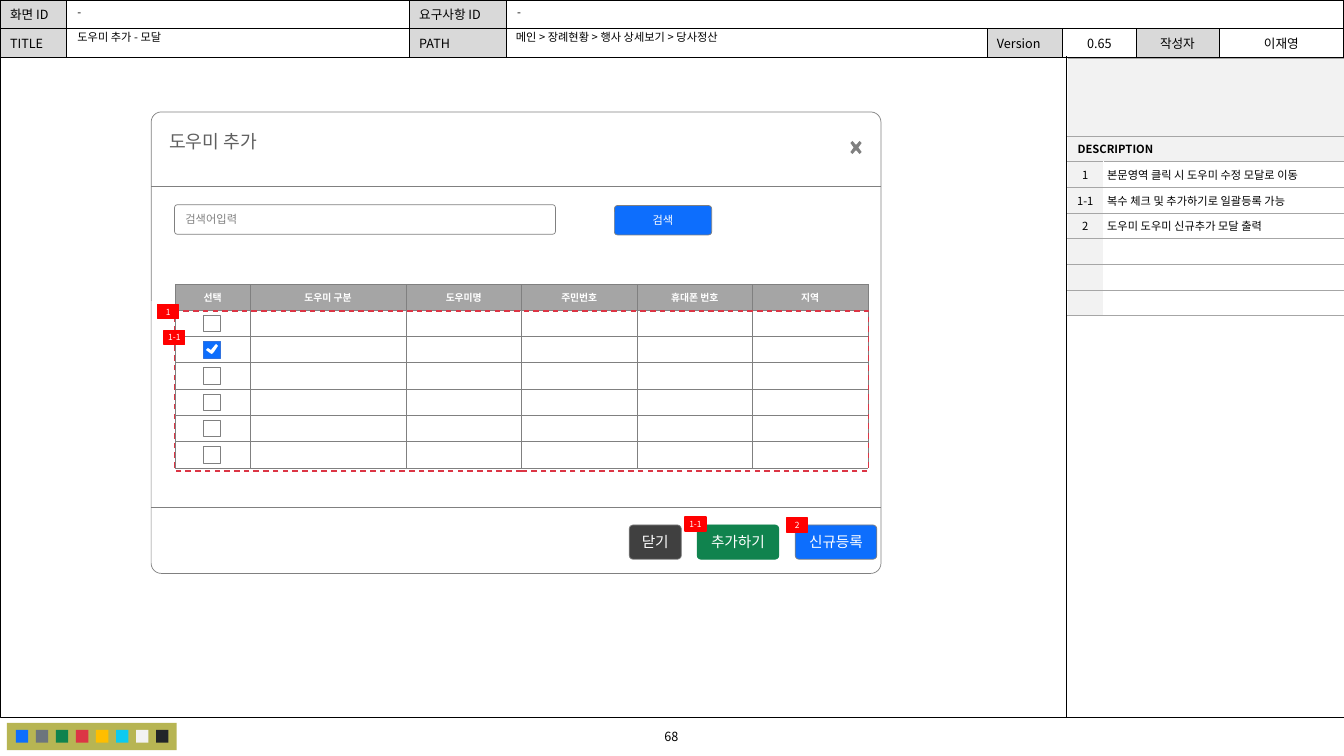
"""Build the wireframe slide of the helper selection modal."""
from lxml import etree
from pptx import Presentation
from pptx.dml.color import RGBColor
from pptx.enum.dml import MSO_LINE
from pptx.enum.shapes import MSO_CONNECTOR, MSO_SHAPE
from pptx.enum.text import MSO_ANCHOR, PP_ALIGN
from pptx.oxml.ns import qn
from pptx.util import Pt

LEFT, CENTER = PP_ALIGN.LEFT, PP_ALIGN.CENTER
TOP, MIDDLE = MSO_ANCHOR.TOP, MSO_ANCHOR.MIDDLE
RECT, ROUND = MSO_SHAPE.RECTANGLE, MSO_SHAPE.ROUNDED_RECTANGLE
STRAIGHT, DASH = MSO_CONNECTOR.STRAIGHT, MSO_LINE.DASH
NOTO, LATO = "Noto Sans CJK KR", "Lato"

BLACK = RGBColor(0x00, 0x00, 0x00)
WHITE = RGBColor(0xFF, 0xFF, 0xFF)
GRAY = RGBColor(0x80, 0x80, 0x80)
LABEL_GRAY = RGBColor(0xD9, 0xD9, 0xD9)
PALE_GRAY = RGBColor(0xF2, 0xF2, 0xF2)
EDGE_GRAY = RGBColor(0xA6, 0xA6, 0xA6)
HEAD_GRAY = RGBColor(0xA5, 0xA5, 0xA5)
TITLE_GRAY = RGBColor(0x5F, 0x5F, 0x5F)
CHARCOAL = RGBColor(0x40, 0x40, 0x40)
BLUE = RGBColor(0x0D, 0x6E, 0xFD)
CHECK_EDGE = RGBColor(0x32, 0x72, 0xDD)
GREEN = RGBColor(0x10, 0x83, 0x4E)
CRIMSON = RGBColor(0xDC, 0x35, 0x45)
RED = RGBColor(0xFF, 0x00, 0x00)
OLIVE = RGBColor(0xB7, 0xB5, 0x53)
SLATE = RGBColor(0x6C, 0x75, 0x7D)
AMBER = RGBColor(0xFF, 0xBE, 0x00)
CYAN = RGBColor(0x0D, 0xCA, 0xF0)
INK = RGBColor(0x21, 0x25, 0x29)


def write(frame, text, size, color=BLACK, align=LEFT, font=NOTO, bold=False):
    frame.text = text
    para = frame.paragraphs[0]
    para.alignment = align
    for span in para.runs:
        span.font.size = Pt(size)
        span.font.name = font
        span.font.bold = bold
        span.font.color.rgb = color
        etree.SubElement(span.font._element, qn("a:ea"), typeface=font)
    if not text:
        etree.SubElement(para._p, qn("a:endParaRPr"), sz=str(size * 100))


def add_box(kind, left, top, width, height, fill=None, edge=None, edge_width=0.5, corner=0.11):
    box = page.shapes.add_shape(kind, Pt(left), Pt(top), Pt(width), Pt(height))
    box.shadow.inherit = False
    if kind == ROUND:
        box.adjustments[0] = corner
    if fill is None:
        box.fill.background()
    else:
        box.fill.solid()
        box.fill.fore_color.rgb = fill
    if edge is None:
        box.line.fill.background()
    else:
        box.line.color.rgb = edge
        box.line.width = Pt(edge_width)
    frame = box.text_frame
    frame.vertical_anchor = MIDDLE
    frame.margin_left = frame.margin_right = frame.margin_top = frame.margin_bottom = 0
    return box


deck = Presentation()
deck.slide_width, deck.slide_height = Pt(960), Pt(540)
page = deck.slides.add_slide(deck.slide_layouts[6])

add_box(RECT, 0, 39.6, 960, 472.4, None, BLACK, 0.25)
panel = add_box(ROUND, 108, 80, 521.3, 329.6, WHITE, GRAY, 0.5, 0.022)
panel.text_frame.vertical_anchor = TOP
panel.text_frame.margin_left = panel.text_frame.margin_top = Pt(10.8)
write(panel.text_frame, "도우미 추가", 13, TITLE_GRAY, LEFT, LATO)

tables = []
for left, top, widths, heights, edge, edge_width, sides in [
    (0, 0, [47.25, 245, 69.25, 343.5, 54.25, 52.25, 59.25, 89.25], [20.25] * 2, BLACK, 0.5, "LRTB"),
    (762.5, 41.5, [25.5, 172], [55.7] + [18.36] * 7, EDGE_GRAY, 0.5, "RTB"),
    (125.3, 203, [53.25, 111.5] + [82.5] * 4, [18.3] + [18.85] * 6, GRAY, 0.25, "LRTB"),
]:
    table = page.shapes.add_table(len(heights), len(widths), Pt(left), Pt(top),
                                  Pt(sum(widths)), Pt(sum(heights))).table
    table.first_row = table.horz_banding = False
    for column, width in zip(table.columns, widths):
        column.width = Pt(width)
    for row, height in zip(table.rows, heights):
        row.height = Pt(height)
    for cell in table.iter_cells():
        write(cell.text_frame, "", 6)
        cell.fill.solid()
        cell.fill.fore_color.rgb = WHITE
        for index, side in enumerate(sides):
            border = etree.Element(qn("a:ln" + side), w=str(Pt(edge_width)))
            paint = etree.SubElement(border, qn("a:solidFill"))
            etree.SubElement(paint, qn("a:srgbClr"), val=str(edge))
            cell._tc.tcPr.insert(index, border)
    tables.append(table)
header, description, helpers = tables

header.cell(0, 3).merge(header.cell(0, 7))
for row, column, text, fill, align in [
    (0, 0, "화면 ID", LABEL_GRAY, LEFT), (0, 2, "요구사항 ID", LABEL_GRAY, LEFT),
    (1, 0, "TITLE", LABEL_GRAY, LEFT), (1, 2, "PATH", LABEL_GRAY, LEFT),
    (1, 4, "Version", LABEL_GRAY, LEFT), (1, 5, "0.65", WHITE, CENTER),
    (1, 6, "작성자", LABEL_GRAY, CENTER), (1, 7, "이재영", WHITE, CENTER),
]:
    cell = header.cell(row, column)
    cell.fill.fore_color.rgb = fill
    write(cell.text_frame, text, 9, BLACK, align)

for row in range(2):
    description.cell(row, 0).merge(description.cell(row, 1))
for row in range(8):
    description.cell(row, 0).fill.fore_color.rgb = PALE_GRAY
heading = description.cell(1, 0)
heading.vertical_anchor = MIDDLE
heading.margin_top = heading.margin_bottom = Pt(2)
write(heading.text_frame, "DESCRIPTION", 8, BLACK, LEFT, NOTO, True)
for row, (number, note) in enumerate([
    ("1", "본문영역 클릭 시 도우미 수정 모달로 이동"),
    ("1-1", "복수 체크 및 추가하기로 일괄등록 가능"),
    ("2", "도우미 도우미 신규추가 모달 출력"),
], 2):
    for column, text, align, margin in [(0, number, CENTER, 0), (1, note, LEFT, 2.9)]:
        cell = description.cell(row, column)
        cell.vertical_anchor = MIDDLE
        cell.margin_left = cell.margin_right = Pt(margin)
        cell.margin_top = cell.margin_bottom = Pt(margin / 2)
        write(cell.text_frame, text, 8, BLACK, align)

for column, text in enumerate(["선택", "도우미 구분", "도우미명", "주민번호", "휴대폰 번호", "지역"]):
    cell = helpers.cell(0, column)
    cell.fill.fore_color.rgb = HEAD_GRAY
    cell.vertical_anchor = MIDDLE
    cell.margin_top = cell.margin_bottom = Pt(2)
    write(cell.text_frame, text, 7, WHITE, CENTER, NOTO, True)

for left, top, width, height, text, size, align in [
    (48.2, 0.7, 244.8, 16.6, "-", 8, LEFT),
    (362.2, 0.7, 596.9, 16.6, "-", 8, LEFT),
    (48.2, 20.2, 243.4, 14.4, "도우미 추가 - 모달", 8, LEFT),
    (361.4, 18.7, 341.3, 16.6, "메인 > 장례현황 > 행사 상세보기 > 당사정산", 8, LEFT),
    (386.6, 517.7, 185.8, 18, "68", 9, CENTER),
]:
    frame = page.shapes.add_textbox(Pt(left), Pt(top), Pt(width), Pt(height)).text_frame
    frame.word_wrap = True
    frame.vertical_anchor = MIDDLE
    frame.margin_top = frame.margin_bottom = 0
    write(frame, text, size, BLACK, align)
    frame.paragraphs[0].line_spacing = 0.9

for x1, y1, x2, y2, color in [
    (761.8, 40.3, 761.8, 512, BLACK),
    (108, 133.2, 629.3, 133.2, GRAY),
    (108, 362.2, 629.3, 362.2, GRAY),
]:
    rule = page.shapes.add_connector(STRAIGHT, Pt(x1), Pt(y1), Pt(x2), Pt(y2))
    rule.line.color.rgb = color
    rule.line.width = Pt(0.5)
    etree.SubElement(rule._element.spPr, qn("a:effectLst"))

add_box(RECT, 5, 516.4, 121.2, 19.4, OLIVE)
for index, color in enumerate([BLUE, SLATE, GREEN, CRIMSON, AMBER, CYAN, PALE_GRAY, INK]):
    add_box(RECT, 11.4 + 14.3 * index, 521.3, 8.8, 9.2, color)

for left, top, width, height, fill, edge, text, size, color, align in [
    (124.6, 146.2, 272.2, 21.2, WHITE, GRAY, "검색어입력", 8, GRAY, LEFT),
    (438.9, 146.8, 69.5, 21, BLUE, GRAY, "검색", 8, WHITE, CENTER),
    (449.5, 375, 37.2, 24.5, CHARCOAL, GRAY, "닫기", 10.5, WHITE, CENTER),
    (498, 375, 58.3, 24.5, GREEN, GREEN, "추가하기", 10.5, WHITE, CENTER),
    (568, 375, 58.3, 24.5, BLUE, GRAY, "신규등록", 10.5, WHITE, CENTER),
]:
    control = add_box(ROUND, left, top, width, height, fill, edge)
    control.text_frame.margin_left = control.text_frame.margin_right = Pt(7.2)
    control.text_frame.word_wrap = size == 8
    write(control.text_frame, text, size, color, align, LATO)

add_box(RECT, 124.8, 222.2, 495.4, 114.2, None, CRIMSON, 1).line.dash_style = DASH
for index in range(6):
    fill, edge = (BLUE, CHECK_EDGE) if index == 1 else (WHITE, GRAY)
    add_box(RECT, 145.6, 225.2 + 18.75 * index, 11.8, 11.8, fill, edge)

for x, y, color, offsets in [
    (611.5, 105.4, GRAY, [(-2.6, -4.7), (-4, -3.2), (-1.7, 0), (-4, 3.2), (-2.6, 4.7), (0, 1.8),
                          (2.6, 4.7), (4, 3.2), (1.7, 0), (4, -3.2), (2.6, -4.7), (0, -1.8)]),
    (151.4, 249.3, WHITE, [(2.9, -3.6), (-0.7, 0.7), (-2.9, -0.7), (-4.3, 0.7),
                           (-1.4, 2.9), (0, 3.6), (1.4, 2.2), (4.3, -2.2)]),
]:
    points = [(Pt(x + dx), Pt(y + dy)) for dx, dy in offsets]
    outline = page.shapes.build_freeform(*points[0], scale=1.0)
    outline.add_line_segments(points[1:], close=True)
    mark = outline.convert_to_shape()
    mark.shadow.inherit = False
    mark.fill.solid()
    mark.fill.fore_color.rgb = color
    mark.line.fill.background()

for left, top, text in [(112.6, 217.6, "1"), (117, 236, "1-1"), (489.2, 369.2, "1-1"), (562, 370, "2")]:
    badge = add_box(RECT, left, top, 15, 10, RED, RED, 1)
    write(badge.text_frame, text, 6, WHITE, CENTER)

deck.save("out.pptx")
